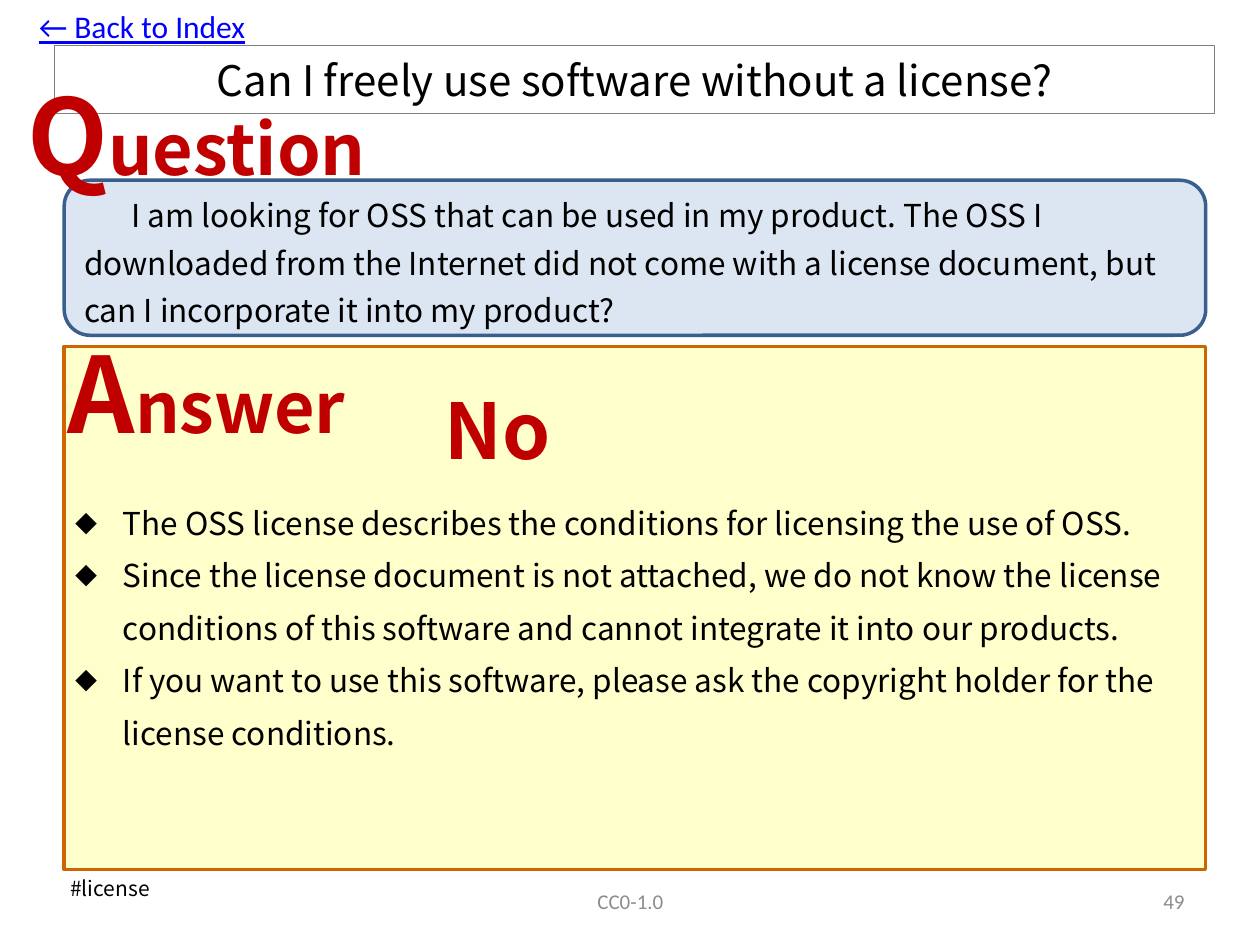
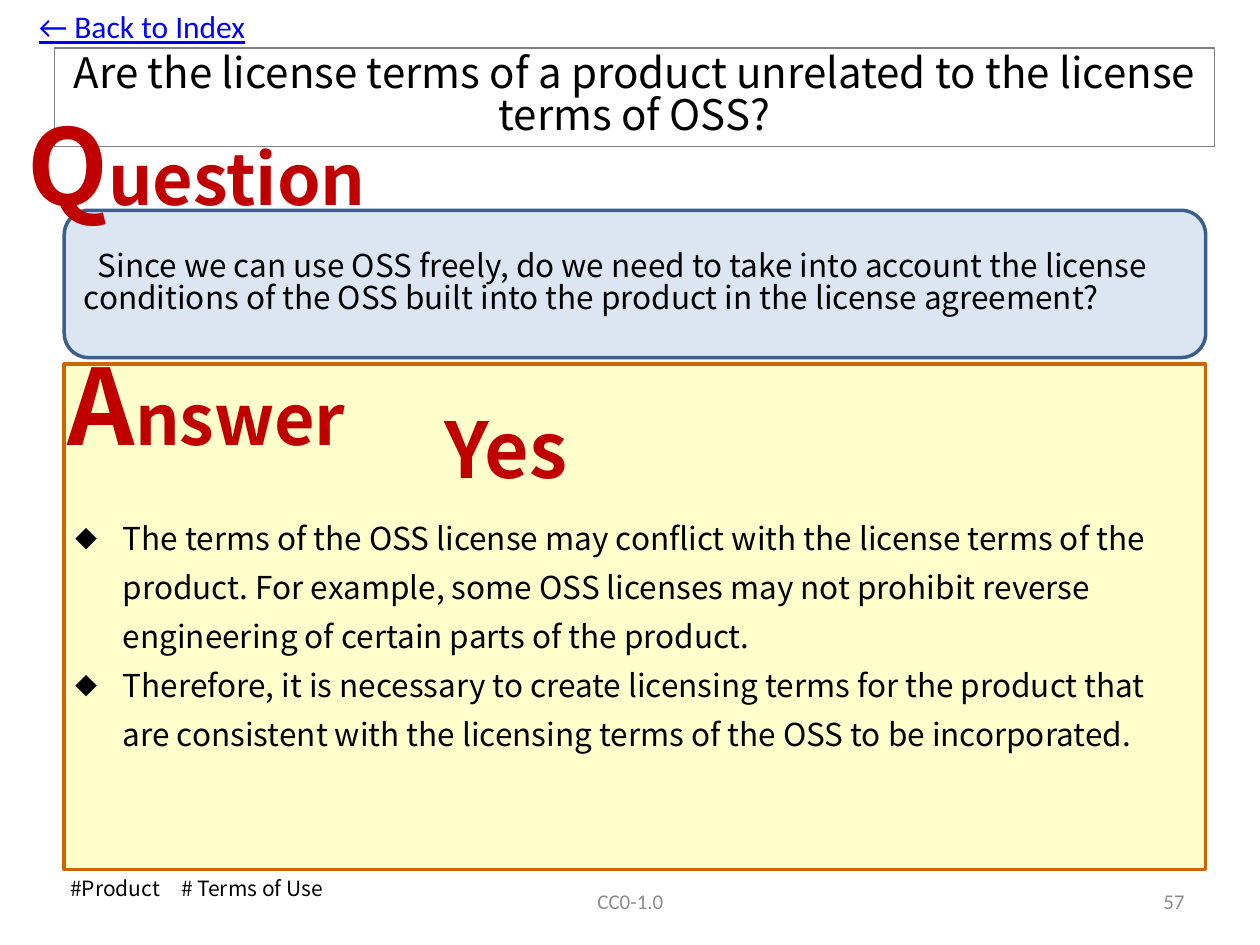
"""Build two question-and-answer slides about open source licences."""
from dataclasses import dataclass

import pptx
import pptx.dml.color
import pptx.enum.shapes
import pptx.enum.text
import pptx.oxml.ns
import pptx.util
from lxml import etree

Pt = pptx.util.Pt
SHAPE = pptx.enum.shapes.MSO_SHAPE
ALIGN = pptx.enum.text.PP_ALIGN
ANCHOR = pptx.enum.text.MSO_ANCHOR
AUTO_SIZE = pptx.enum.text.MSO_AUTO_SIZE

COLORS = {
    "text": "000000",
    "accent": "C00000",
    "link": "0000FF",
    "muted": "8C8C8C",
    "title_line": "808080",
    "question_fill": "DCE6F2",
    "question_line": "3A5F8C",
    "answer_fill": "FFFFCC",
    "answer_line": "CC6600",
}
SANS = "Noto Sans CJK JP"
FOOTER_FONT = "Calibri"
PANEL_LEFT, PANEL_WIDTH, PANEL_BOTTOM = 36.7, 652.3, 496.8
BULLET_INDENT = 27


@dataclass
class Box:
    left: float
    top: float
    width: float
    height: float

    def lengths(self) -> list:
        return [Pt(v) for v in (self.left, self.top, self.width, self.height)]


@dataclass
class Style:
    size: float
    color: str = "text"
    font: str = SANS
    bold: bool = False
    underline: bool = False
    align: object = ALIGN.LEFT


@dataclass
class QASlide:
    title: str
    title_box: Box
    title_spacing: float
    question: str
    question_box: Box
    question_indent: float
    question_spacing: object
    question_label_top: float
    answer_top: float
    answer_label_top: float
    verdict: str
    verdict_box: Box
    points: list
    points_top: float
    points_spacing: float
    tags: str
    tags_width: float
    number: int


BODY = Style(18)
TITLE = Style(24, align=ALIGN.CENTER)
LABEL = Style(40, "accent", bold=True)
VERDICT = Style(44, "accent", bold=True)
TAGS = Style(12)
BACK = Style(18, "link", FOOTER_FONT, underline=True)
FOOTER = Style(12, "muted", FOOTER_FONT, align=ALIGN.CENTER)
NUMBER = Style(12, "muted", FOOTER_FONT, align=ALIGN.RIGHT)

SLIDES = [
    QASlide(
        title="Can I freely use software without a license?",
        title_box=Box(31, 25.9, 663.1, 38.9),
        title_spacing=1.0,
        question="I am looking for OSS that can be used in my product. The OSS I downloaded "
        "from the Internet did not come with a license document, but can I incorporate "
        "it into my product?",
        question_box=Box(PANEL_LEFT, 103, PANEL_WIDTH, 88.6),
        question_indent=27,
        question_spacing=Pt(27),
        question_label_top=36.7,
        answer_top=198,
        answer_label_top=184.3,
        verdict="No",
        verdict_box=Box(247, 215.3, 294.5, 60.5),
        points=[
            "The OSS license describes the conditions for licensing the use of OSS.",
            "Since the license document is not attached, we do not know the license "
            "conditions of this software and cannot integrate it into our products.",
            "If you want to use this software, please ask the copyright holder for the "
            "license conditions.",
        ],
        points_top=275.8,
        points_spacing=30,
        tags="#license",
        tags_width=64,
        number=49,
    ),
    QASlide(
        title="Are the license terms of a product unrelated to the license terms of OSS?",
        title_box=Box(31, 27.4, 663.1, 56.2),
        title_spacing=0.82,
        question="Since we can use OSS freely, do we need to take into account the license "
        "conditions of the OSS built into the product in the license agreement?",
        question_box=Box(PANEL_LEFT, 120.2, PANEL_WIDTH, 84.2),
        question_indent=8,
        question_spacing=0.83,
        question_label_top=54,
        answer_top=208.1,
        answer_label_top=190.8,
        verdict="Yes",
        verdict_box=Box(247, 226.1, 164.2, 60.5),
        points=[
            "The terms of the OSS license may conflict with the license terms of the "
            "product. For example, some OSS licenses may not prohibit reverse engineering "
            "of certain parts of the product.",
            "Therefore, it is necessary to create licensing terms for the product that "
            "are consistent with the licensing terms of the OSS to be incorporated.",
        ],
        points_top=286.6,
        points_spacing=28,
        tags="#Product　# Terms of Use",
        tags_width=168.5,
        number=57,
    ),
]


def rgb(name: str) -> pptx.dml.color.RGBColor:
    return pptx.dml.color.RGBColor.from_string(COLORS[name])


def style_paragraph(p, style: Style) -> None:
    p.alignment = style.align
    p.font.size = Pt(style.size)
    p.font.name = style.font
    p.font.bold = style.bold
    p.font.underline = style.underline
    p.font.color.rgb = rgb(style.color)


def set_line(sp, color: str, width: float) -> None:
    sp.line.color.rgb = rgb(color)
    sp.line.width = Pt(width)


def place(sp, box: Box) -> None:
    sp.left, sp.top, sp.width, sp.height = box.lengths()


def add_panel(s, kind, box: Box, name: str):
    sp = s.shapes.add_shape(kind, *box.lengths())
    sp.shadow.inherit = False
    sp.fill.solid()
    sp.fill.fore_color.rgb = rgb(name + "_fill")
    set_line(sp, name + "_line", 2)
    return sp


def add_text(s, box: Box, text: str, style: Style, wrap: bool = False, anchor=ANCHOR.TOP):
    tf = s.shapes.add_textbox(*box.lengths()).text_frame
    tf.word_wrap = wrap
    tf.vertical_anchor = anchor
    p = tf.paragraphs[0]
    p.text = text
    style_paragraph(p, style)
    return p


def add_label(s, box: Box, word: str) -> None:
    p = add_text(s, box, word[0], LABEL)
    p.runs[0].font.size = Pt(60)
    p.add_run().text = word[1:]


def set_indent(p, margin: float, indent: float) -> None:
    p_pr = p._p.get_or_add_pPr()
    p_pr.set("marL", str(Pt(margin)))
    p_pr.set("indent", str(Pt(indent)))


def add_bullet(p) -> None:
    set_indent(p, BULLET_INDENT, -BULLET_INDENT)
    p_pr = p._p.get_or_add_pPr()
    for tag, key, value in (
        ("a:buSzPct", "val", "70000"),
        ("a:buFont", "typeface", SANS),
        ("a:buChar", "char", "◆"),
    ):
        etree.SubElement(p_pr, pptx.oxml.ns.qn(tag)).set(key, value)


def fill_title(s, qa: QASlide) -> None:
    sp = s.shapes.title
    place(sp, qa.title_box)
    set_line(sp, "title_line", 0.75)
    tf = sp.text_frame
    tf.auto_size = AUTO_SIZE.NONE
    tf.vertical_anchor = ANCHOR.MIDDLE
    p = tf.paragraphs[0]
    p.text = qa.title
    p.line_spacing = qa.title_spacing
    style_paragraph(p, TITLE)


def fill_points(s, qa: QASlide) -> None:
    sp = s.placeholders[1]
    place(sp, Box(36, qa.points_top, 653, 210.2))
    tf = sp.text_frame
    tf.auto_size = AUTO_SIZE.NONE
    tf.text = "\n".join(qa.points)
    for p in tf.paragraphs:
        p.line_spacing = Pt(qa.points_spacing)
        p.space_before = Pt(0)
        add_bullet(p)
        style_paragraph(p, BODY)


def add_question(s, qa: QASlide) -> None:
    tf = add_panel(s, SHAPE.ROUNDED_RECTANGLE, qa.question_box, "question").text_frame
    tf.word_wrap = True
    tf.vertical_anchor = ANCHOR.MIDDLE
    p = tf.paragraphs[0]
    p.text = qa.question
    p.line_spacing = qa.question_spacing
    set_indent(p, 0, qa.question_indent)
    style_paragraph(p, BODY)


def add_footer(s, qa: QASlide) -> None:
    add_text(s, Box(246.2, 500.4, 228.2, 28.8), "CC0-1.0", FOOTER, True, ANCHOR.MIDDLE)
    add_text(s, Box(516.2, 500.4, 167.8, 28.8), str(qa.number), NUMBER, True, ANCHOR.MIDDLE)
    add_text(s, Box(33.1, 496.8, qa.tags_width, 21.6), qa.tags, TAGS)


def build_slide(prs, qa: QASlide) -> None:
    s = prs.slides.add_slide(prs.slide_layouts[1])
    answer_box = Box(PANEL_LEFT, qa.answer_top, PANEL_WIDTH, PANEL_BOTTOM - qa.answer_top)
    panel = add_panel(s, SHAPE.RECTANGLE, answer_box, "answer")
    s.shapes.title.element.addprevious(panel.element)
    fill_title(s, qa)
    fill_points(s, qa)
    add_question(s, qa)
    add_text(s, qa.verdict_box, qa.verdict, VERDICT, wrap=True)
    add_footer(s, qa)
    add_label(s, Box(8.6, qa.question_label_top, 221, 79.9), "Question")
    add_label(s, Box(31.7, qa.answer_label_top, 189.4, 79.9), "Answer")
    add_text(s, Box(15.1, 0.7, 133.9, 28.8), "← Back to Index", BACK)


def main() -> None:
    prs = pptx.Presentation()
    prs.slide_width, prs.slide_height = Pt(720), Pt(540)
    for qa in SLIDES:
        build_slide(prs, qa)
    prs.save("out.pptx")


if __name__ == "__main__":
    main()
